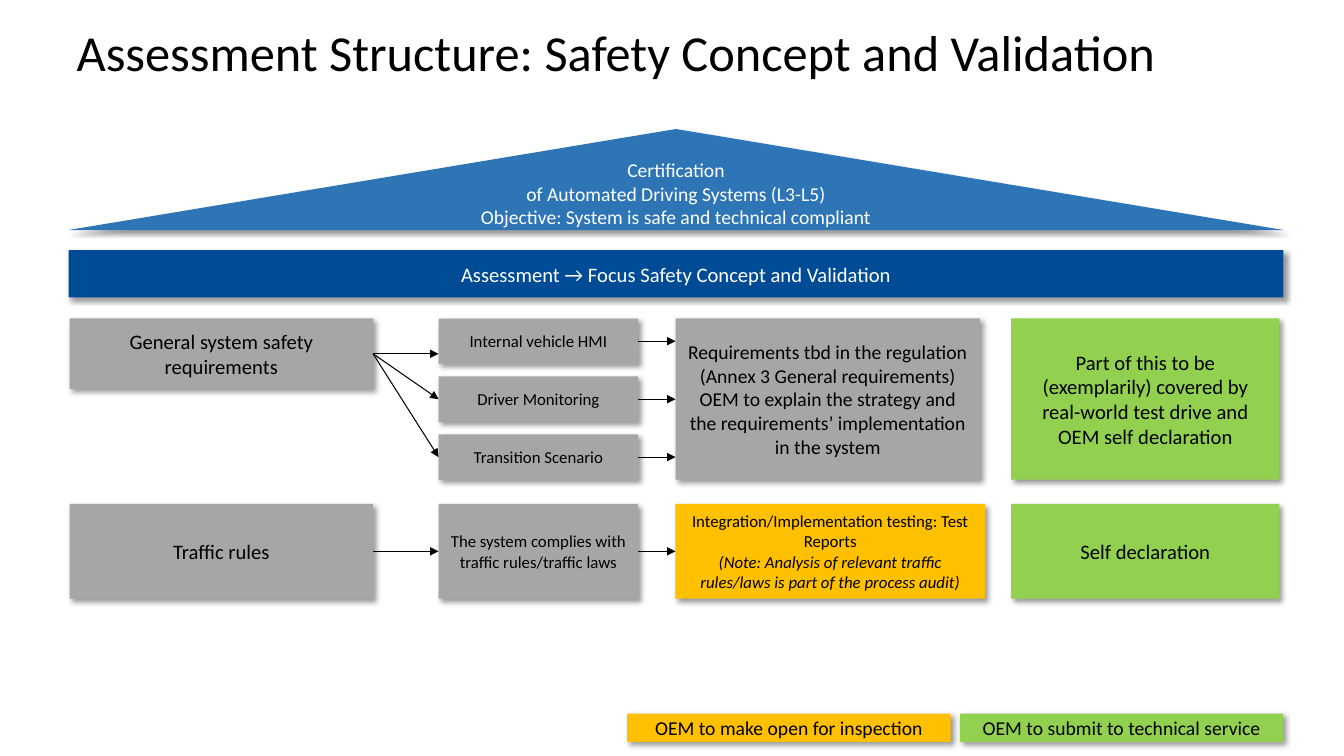
import dataclasses

import pptx
import pptx.dml.color
import pptx.enum.shapes
import pptx.enum.text
import pptx.oxml
import pptx.oxml.ns
import pptx.util

SHAPE = pptx.enum.shapes.MSO_SHAPE
ALIGN = pptx.enum.text.PP_ALIGN
TOP, LEFT, BOTTOM, RIGHT = range(4)


@dataclasses.dataclass(frozen=True)
class Theme:
    font: str = "Calibri"
    black: str = "000000"
    white: str = "FFFFFF"
    roof: str = "2E75B6"
    beam: str = "004B96"
    grey: str = "A6A6A6"
    amber: str = "FFC000"
    green: str = "92D050"
    title: float = 36
    large: float = 14.7
    body: float = 14
    small: float = 12
    line: float = 0.75


THEME = Theme()
WIDE, HIGH = 13.33, 7.5

# Columns: left and width of each
COLS = [(0.69, 3.01), (4.35, 1.98), (6.7, 3.02), (10.03, 2.66)]
SPAN = (0.68, 12.05)


def inch(*nums):
    return [pptx.util.Inches(num) for num in nums]


def color(code):
    return pptx.dml.color.RGBColor.from_string(code)


def add_xml(parent, body):
    parent.append(pptx.oxml.parse_xml(
        body.replace(">", f" {pptx.oxml.ns.nsdecls('a')}>", 1)))


def write(frame, text, size=THEME.large, ink=THEME.black, align=ALIGN.CENTER,
          note=None, space=None):
    """Fill a frame, one paragraph a line; the line with index note is italic."""
    frame.word_wrap = True
    frame.auto_size = pptx.enum.text.MSO_AUTO_SIZE.NONE
    frame.vertical_anchor = pptx.enum.text.MSO_ANCHOR.MIDDLE
    frame.text = text
    for num, para in enumerate(frame.paragraphs):
        para.alignment = align
        if space:
            para.line_spacing = space
        font = para.runs[0].font
        font.name, font.size = THEME.font, pptx.util.Pt(size)
        font.color.rgb = color(ink)
        if num == note:
            font.italic = True


def block(slide, box, text, fill, kind=SHAPE.RECTANGLE, **form):
    """Filled shape with a soft shadow and centred text."""
    shape = slide.shapes.add_shape(kind, *inch(*box))
    shape.shadow.inherit = False
    shape.fill.solid()
    shape.fill.fore_color.rgb = color(fill)
    shape.line.fill.background()
    glow = shape.element.spPr.find(pptx.oxml.ns.qn("a:effectLst"))
    add_xml(glow, '<a:outerShdw blurRad="50800" dist="38100" dir="2700000" algn="tl" '
                  'rotWithShape="0"><a:srgbClr val="000000"><a:alpha val="40000"/>'
                  '</a:srgbClr></a:outerShdw>')
    write(shape.text_frame, text, **form)
    return shape


def arrow(slide, start, goal):
    """Arrow from the right side of start to the left side of goal."""
    level = start.top + start.height // 2
    line = slide.shapes.add_connector(
        pptx.enum.shapes.MSO_CONNECTOR.STRAIGHT,
        start.left + start.width, level, goal.left, level)
    line.begin_connect(start, RIGHT)
    middle = goal.top + goal.height // 2
    inside = goal.top < level < goal.top + goal.height
    if not inside or abs(middle - level) < pptx.util.Inches(0.02):
        line.end_connect(goal, LEFT)
    line.line.width = pptx.util.Pt(THEME.line)
    line.line.color.rgb = color(THEME.black)
    add_xml(line.line._get_or_add_ln(), '<a:tailEnd type="triangle"></a:tailEnd>')
    add_xml(line.element.spPr, '<a:effectLst></a:effectLst>')


def cell(col, top, height):
    left, width = COLS[col]
    return left, top, width, height


def header(slide, box):
    title = slide.shapes.title
    title.left, title.top, title.width, title.height = inch(*box)
    write(title.text_frame, "Assessment Structure: Safety Concept and Validation",
          size=THEME.title, align=ALIGN.LEFT, space=0.9)


def roof(slide, box):
    left, top, width, height = box
    gable = block(slide, (left, top, width, height * 0.6),
                  "Certification\nof Automated Driving Systems (L3-L5)\n"
                  "Objective: System is safe and technical compliant",
                  THEME.roof, SHAPE.ISOSCELES_TRIANGLE,
                  size=THEME.body, ink=THEME.white)
    gable.text_frame.margin_top, gable.text_frame.margin_bottom = inch(0, 0.23)
    block(slide, (left, top + height * 0.72, width, height * 0.28),
          "Assessment → Focus Safety Concept and Validation",
          THEME.beam, ink=THEME.white)


def safety(slide, top, height):
    """General requirements, split into three topics."""
    first = block(slide, cell(0, top, 0.7),
                  "General system safety requirements", THEME.grey)
    rules = block(slide, cell(2, top, height),
                  "Requirements tbd in the regulation (Annex 3 General requirements)\n"
                  "OEM to explain the strategy and the requirements’ "
                  "implementation in the system", THEME.grey, size=THEME.body)
    deep = 0.45
    step = (height - deep) / 2
    topics = ["Internal vehicle HMI", "Driver Monitoring", "Transition Scenario"]
    for num, name in enumerate(topics):
        topic = block(slide, cell(1, top + num * step, deep), name,
                      THEME.grey, size=THEME.small)
        arrow(slide, first, topic)
        arrow(slide, topic, rules)
    block(slide, cell(3, top, height),
          "Part of this to be (exemplarily) covered by real-world test drive "
          "and OEM self declaration", THEME.green)


def traffic(slide, top, height):
    """Traffic rules, a chain of three steps and its proof."""
    steps = [
        ("Traffic rules", THEME.grey, THEME.large, None),
        ("The system complies with traffic rules/traffic laws",
         THEME.grey, THEME.small, None),
        ("Integration/Implementation testing: Test Reports\n(Note: Analysis of "
         "relevant traffic rules/laws is part of the process audit)",
         THEME.amber, THEME.small, 1),
    ]
    last = None
    for col, (text, fill, size, note) in enumerate(steps):
        part = block(slide, cell(col, top, height), text, fill, size=size, note=note)
        if col == 2:
            part.width = pptx.util.Inches(3.07)
        if last:
            arrow(slide, last, part)
        last = part
    block(slide, cell(3, top, height), "Self declaration", THEME.green)


def legend(slide, box):
    left, top, width, height = box
    gap = 0.09
    half = (width - gap) / 2
    keys = [("OEM to make open for inspection", THEME.amber),
            ("OEM to submit to technical service", THEME.green)]
    for num, (text, fill) in enumerate(keys):
        block(slide, (left + num * (half + gap), top, half, height), text, fill,
              size=THEME.body)


def main():
    deck = pptx.Presentation()
    deck.slide_width, deck.slide_height = inch(WIDE, HIGH)
    slide = deck.slides.add_slide(deck.slide_layouts[5])
    header(slide, (0.66, 0.2, 11.5, 0.69))
    roof(slide, (SPAN[0], 1.28, SPAN[1], 1.67))
    safety(slide, 3.16, 1.6)
    traffic(slide, 5, 0.94)
    legend(slide, (6.22, 7.08, 6.51, 0.28))
    deck.save("out.pptx")


if __name__ == "__main__":
    main()
